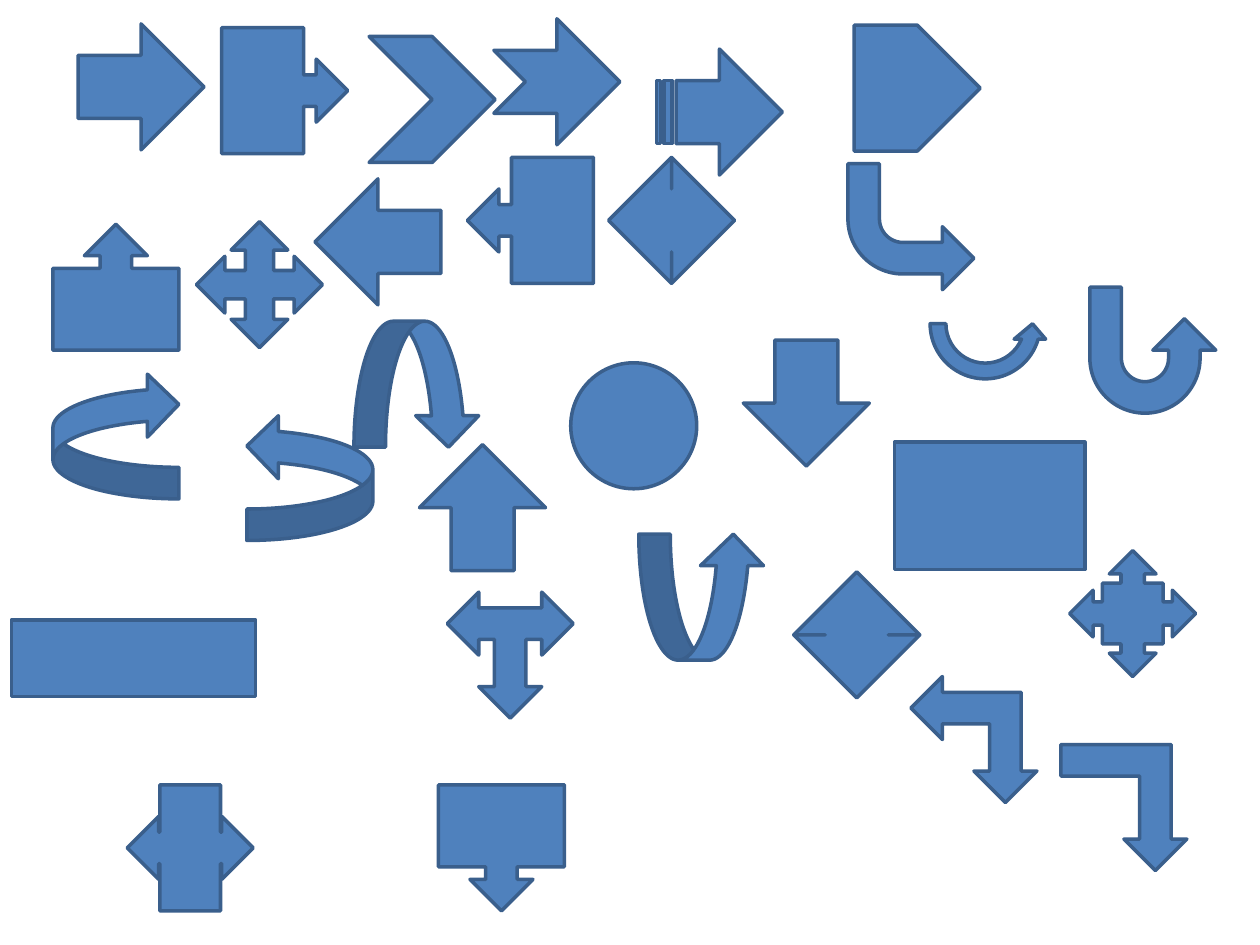
import pptx
import pptx.dml.color
import pptx.enum.shapes
import pptx.oxml.ns
import pptx.util

SHAPE = pptx.enum.shapes.MSO_SHAPE
FILL_BLUE = pptx.dml.color.RGBColor(0x4F, 0x81, 0xBD)
LINE_BLUE = pptx.dml.color.RGBColor(0x3A, 0x5F, 0x8C)
COLUMNS, ROWS = 10, 7.5

BLOCKS = [
    (SHAPE.RECTANGLE, 0.09, 4.92, 1.94, 0.61),
    (SHAPE.OVAL, 4.53, 2.88, 1, 1),
    (SHAPE.RECTANGLE, 7.1, 3.51, 1.51, 1.01),
]

ARROWS = [
    (SHAPE.LEFT_ARROW, 2.5, 1.42),
    (SHAPE.UP_ARROW, 5.9, 2.7),
    (SHAPE.DOWN_ARROW, 3.33, 3.53),
    (SHAPE.LEFT_RIGHT_ARROW, 4.83, 1.25),
    (SHAPE.UP_DOWN_ARROW, 6.3, 4.54),
    (SHAPE.QUAD_ARROW, 1.56, 1.76),
    (SHAPE.LEFT_RIGHT_UP_ARROW, 3.55, 4.7),
    (SHAPE.BENT_ARROW, 6.73, 1.3),
    (SHAPE.U_TURN_ARROW, 8.65, 2.28),
    (SHAPE.LEFT_UP_ARROW, 7.23, 5.37),
    (SHAPE.BENT_UP_ARROW, 8.42, 5.91),
    (SHAPE.CURVED_RIGHT_ARROW, 0.42, 2.96),
    (SHAPE.CURVED_LEFT_ARROW, 1.96, 3.29),
    (SHAPE.CURVED_DOWN_ARROW, 5.07, 4.24),
    (SHAPE.CURVED_UP_ARROW, 2.81, 2.55),
    (SHAPE.STRIPED_RIGHT_ARROW, 5.21, 0.39),
    (SHAPE.NOTCHED_RIGHT_ARROW, 3.92, 0.15),
    (SHAPE.PENTAGON, 6.78, 0.2),
    (SHAPE.CHEVRON, 2.93, 0.29),
    (SHAPE.RIGHT_ARROW_CALLOUT, 1.76, 0.22),
    (SHAPE.DOWN_ARROW_CALLOUT, 0.42, 1.78),
    (SHAPE.LEFT_ARROW_CALLOUT, 3.71, 1.25),
    (SHAPE.UP_ARROW_CALLOUT, 3.48, 6.23),
    (SHAPE.LEFT_RIGHT_ARROW_CALLOUT, 1.01, 6.23),
    (SHAPE.QUAD_ARROW_CALLOUT, 8.49, 4.37),
    (SHAPE.CIRCULAR_ARROW, 7.32, 2.07),
    (SHAPE.RIGHT_ARROW, 0.62, 0.19),
]


class ShapeSheet:
    def __init__(self, deck, fill, line, line_width):
        self.cell_width = deck.slide_width / COLUMNS
        self.cell_height = deck.slide_height / ROWS
        self.fill, self.line, self.line_width = fill, line, line_width
        self.page = deck.slides.add_slide(deck.slide_layouts[6])

    def flipped_shape(self, kind, column, row, columns=1, rows=1):
        shape = self.page.shapes.add_shape(
            kind,
            round(column * self.cell_width),
            round(row * self.cell_height),
            round(columns * self.cell_width),
            round(rows * self.cell_height),
        )
        shape.shadow.inherit = False
        shape.fill.solid()
        shape.fill.fore_color.rgb = self.fill
        shape.line.color.rgb = self.line
        shape.line.width = self.line_width
        transform = shape.element.spPr.find(pptx.oxml.ns.qn("a:xfrm"))
        transform.set("flipV", "1")
        return shape


def main():
    deck = pptx.Presentation()
    deck.slide_width = pptx.util.Inches(10)
    deck.slide_height = pptx.util.Inches(7.5)
    sheet = ShapeSheet(deck, FILL_BLUE, LINE_BLUE, pptx.util.Pt(2))
    for placement in BLOCKS + ARROWS:
        sheet.flipped_shape(*placement)
    deck.save("out.pptx")


if __name__ == "__main__":
    main()
